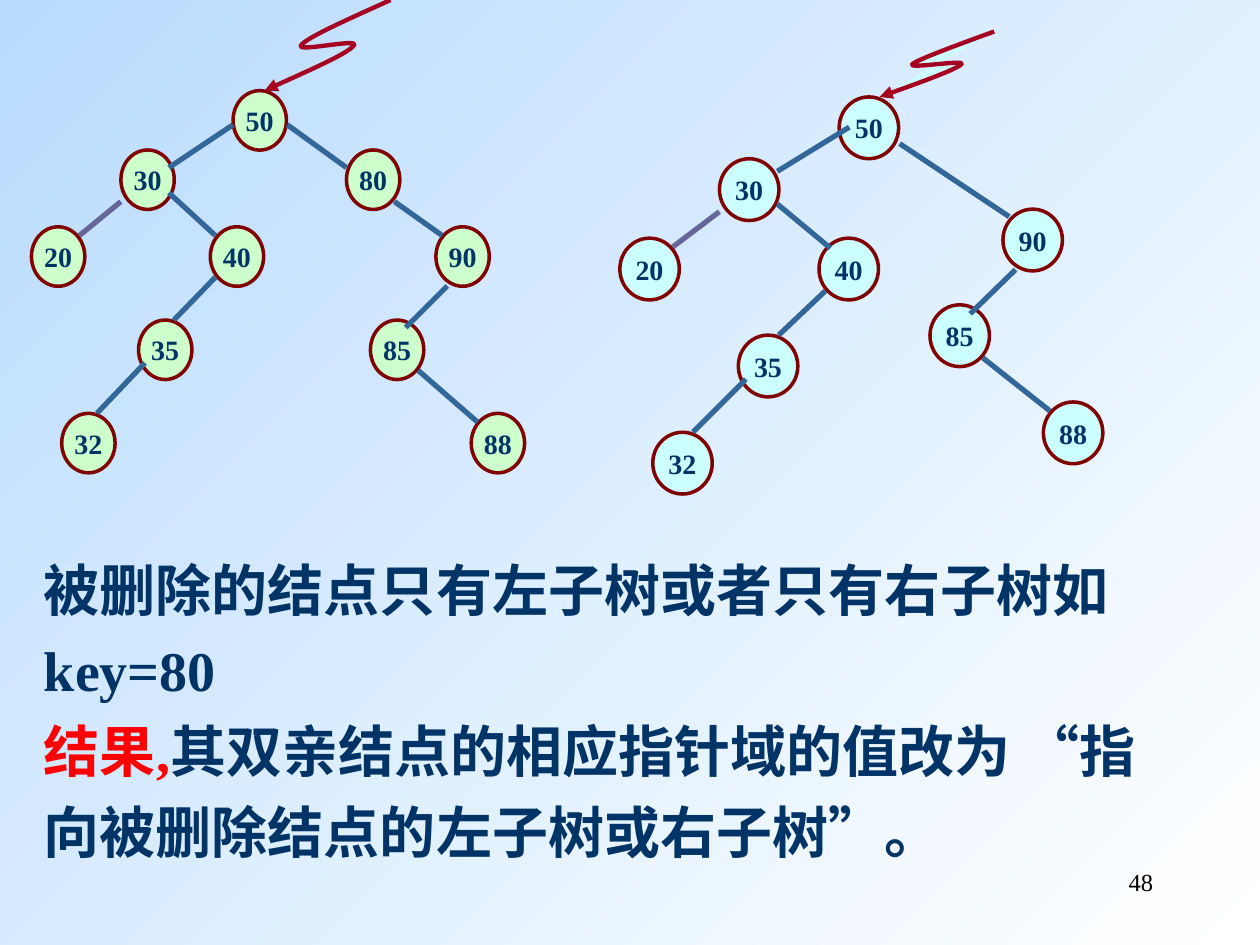
import lxml.etree
import pptx
import pptx.dml.color
import pptx.enum.shapes
import pptx.enum.text
import pptx.oxml.ns
import pptx.util

Pt = pptx.util.Pt
qn = pptx.oxml.ns.qn
ALIGN = pptx.enum.text.PP_ALIGN
NAVY = "003366"
BODY = {"name": "Times New Roman", "size": Pt(32), "bold": True}
LABEL = {"name": "Times New Roman", "size": Pt(16), "bold": True}
PAGE = {"name": "Times New Roman", "size": Pt(14), "bold": False}

LEFT = {
    "size": (30.5, 34), "fill": "CCFFCC", "void": True,
    "nodes": {
        50: (133.2, 51.8), 30: (69.1, 85.7), 80: (198, 85.7),
        20: (18, 129.6), 90: (249.1, 129.6), 85: (211.7, 182.9),
        40: (120.2, 129.6), 35: (79.2, 182.9), 88: (269.3, 236.2),
        32: (35.3, 236.2),
    },
    "edges": {
        (50, 30): (133.2, 71.3, 96.5, 95.8),
        (30, 20): (69.1, 115.2, 45.4, 134.6),
        (50, 80): (164.2, 71.3, 198, 95.8),
        (30, 40): (96.5, 110.2, 123.1, 134.6),
        (40, 35): (123.1, 158.4, 99.4, 182.9),
        (80, 90): (225.4, 115.2, 252.7, 134.6),
        (90, 85): (255.6, 163.4, 231.8, 187.2),
        (85, 88): (239, 211.7, 272.9, 241.2),
        (35, 32): (82.8, 207.4, 55.4, 236.2),
    },
    "curve": [
        (223.2, 0), (199.4, 10.8), (175, 21.6), (172.1, 25.9), (168.5, 30.2),
        (205.9, 21.6), (202.3, 25.9), (199.4, 30.2), (175, 41), (151.2, 51.8),
    ],
}
RIGHT = {
    "size": (34, 35.3), "fill": "CCFFFF", "void": False,
    "nodes": {
        50: (479.5, 55.4), 30: (411.1, 90.7), 20: (354.2, 136.1),
        40: (468, 136.1), 35: (421.9, 191.5), 90: (573.1, 119.5),
        85: (531.4, 174.2), 88: (596.2, 229.7), 32: (373, 247),
    },
    "edges": {
        (50, 30): (485.3, 72.7, 444.2, 97.9),
        (30, 20): (411.1, 121, 384.5, 141.1),
        (30, 40): (444.2, 116.6, 474.5, 141.8),
        (40, 35): (471.6, 166.3, 445, 191.5),
        (50, 90): (514.1, 82.1, 576.7, 123.8),
        (90, 85): (580.3, 154.1, 554.4, 179.3),
        (85, 88): (561.6, 204.5, 599.8, 234.7),
        (35, 32): (426.2, 216.7, 396, 247),
    },
    "curve": [
        (568.1, 18), (546.5, 25.9), (524.9, 33.8), (521.3, 36.7), (518.4, 39.6),
        (552.2, 33.8), (549.4, 36.7), (546.5, 39.6), (524.9, 47.5), (502.6, 55.4),
    ],
}


def tint(code):
    return pptx.dml.color.RGBColor.from_string(code)


def style(item, look):
    for key, value in look.items():
        setattr(item, key, value)


def stroke(line, code, width):
    line.color.rgb = tint(code)
    line.width = Pt(width)


def write(para, parts, look):
    for text, code in parts:
        run = para.add_run()
        run.text = text
        style(run.font, look)
        run.font.color.rgb = tint(code)


def block(slide, box, rows, look, form):
    frame = slide.shapes.add_textbox(*map(Pt, box)).text_frame
    frame.word_wrap = True
    for num, parts in enumerate(rows):
        para = frame.add_paragraph() if num else frame.paragraphs[0]
        style(para, form)
        write(para, parts, look)


def node(shapes, key, spot, size, fill):
    oval = shapes.add_shape(
        pptx.enum.shapes.MSO_SHAPE.OVAL, *map(Pt, spot + size))
    oval.shadow.inherit = False
    oval.fill.solid()
    oval.fill.fore_color.rgb = tint(fill)
    stroke(oval.line, "800000", 2)
    frame = oval.text_frame
    style(frame, {"word_wrap": False,
                  "vertical_anchor": pptx.enum.text.MSO_ANCHOR.MIDDLE})
    para = frame.paragraphs[0]
    para.alignment = ALIGN.CENTER
    write(para, [(str(key), NAVY)], LABEL)


def edge(shapes, ends, code):
    kind = pptx.enum.shapes.MSO_CONNECTOR.STRAIGHT
    line = shapes.add_connector(kind, *map(Pt, ends))
    stroke(line.line, code, 3)
    lxml.etree.SubElement(line.element.spPr, qn("a:effectLst"))


def arrow(shapes, dots, fill, void):
    first, *rest = [(Pt(x), Pt(y)) for x, y in dots]
    pen = shapes.build_freeform(*first)
    pen.add_line_segments(rest, close=False)
    curve = pen.convert_to_shape()
    curve.shadow.inherit = False
    if void:
        curve.fill.background()
    else:
        curve.fill.solid()
        curve.fill.fore_color.rgb = tint(fill)
    stroke(curve.line, "A50021", 2.5)
    trace = curve.element.xpath(".//a:path")[0]
    legs = trace.findall(qn("a:lnTo"))
    for num in range(0, len(legs), 3):
        bend = lxml.etree.SubElement(trace, qn("a:cubicBezTo"))
        for leg in legs[num:num + 3]:
            bend.append(leg[0])
            trace.remove(leg)
    rim = curve.element.spPr.find(qn("a:ln"))
    lxml.etree.SubElement(rim, qn("a:tailEnd"), type="triangle")


def tree(slide, plan):
    shapes = slide.shapes.add_group_shape().shapes
    for key, spot in plan["nodes"].items():
        node(shapes, key, spot, plan["size"], plan["fill"])
    for pair, ends in plan["edges"].items():
        edge(shapes, ends, "666699" if pair == (30, 20) else "336699")
    arrow(shapes, plan["curve"], plan["fill"], plan["void"])


def shade(slide):
    fill = slide.background.fill
    fill.gradient()
    fill.gradient_angle = 315
    for stop, code in zip(fill.gradient_stops, ("B9DCFF", "FFFFFF")):
        stop.color.rgb = tint(code)


def main():
    deck = pptx.Presentation()
    style(deck, {"slide_width": Pt(720), "slide_height": Pt(540)})
    slide = deck.slides.add_slide(deck.slide_layouts[6])
    shade(slide)
    block(slide, (516, 492, 150, 36), [[("48", "000000")]], PAGE,
          {"alignment": ALIGN.RIGHT})
    rows = [
        [("被删除的结点只有左子树或者只有右子树如key=80", NAVY)],
        [("结果,", "FF0000"),
         ("其双亲结点的相应指针域的值改为 “指向被删除结点的左子树或右子树”。", NAVY)],
    ]
    block(slide, (18, 306, 666, 191.5), rows, BODY, {"line_spacing": 1.2})
    for plan in (RIGHT, LEFT):
        tree(slide, plan)
    deck.save("out.pptx")


if __name__ == "__main__":
    main()
